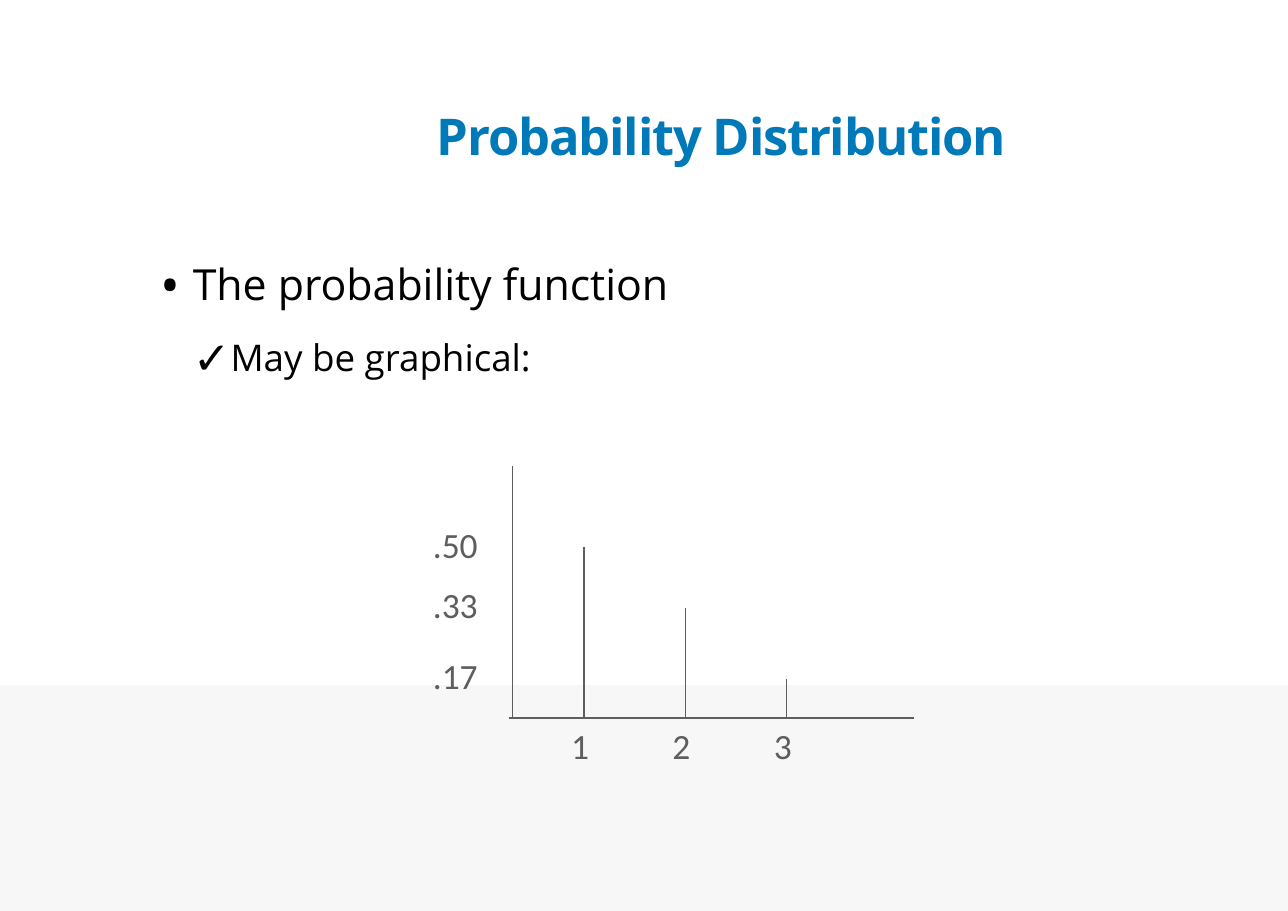
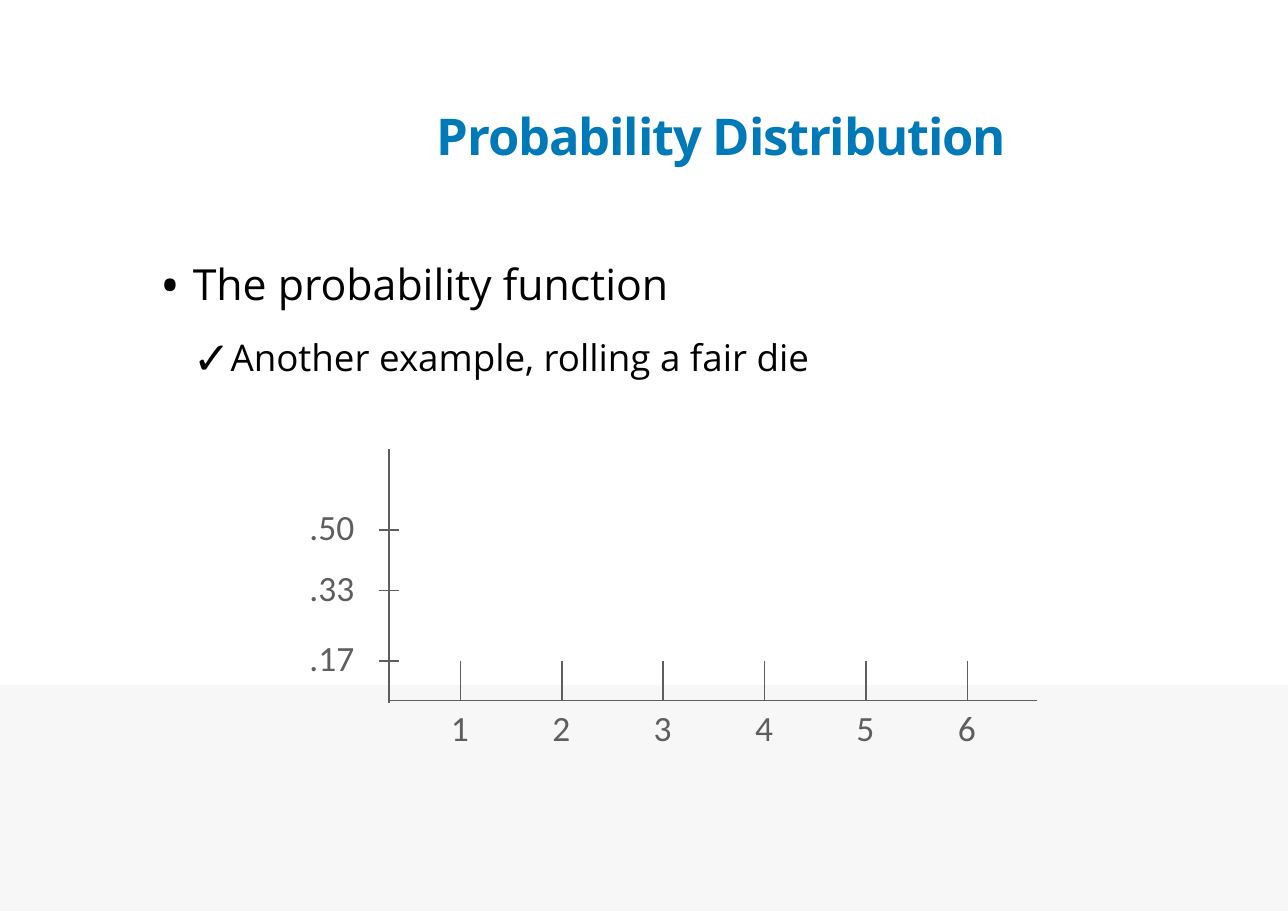
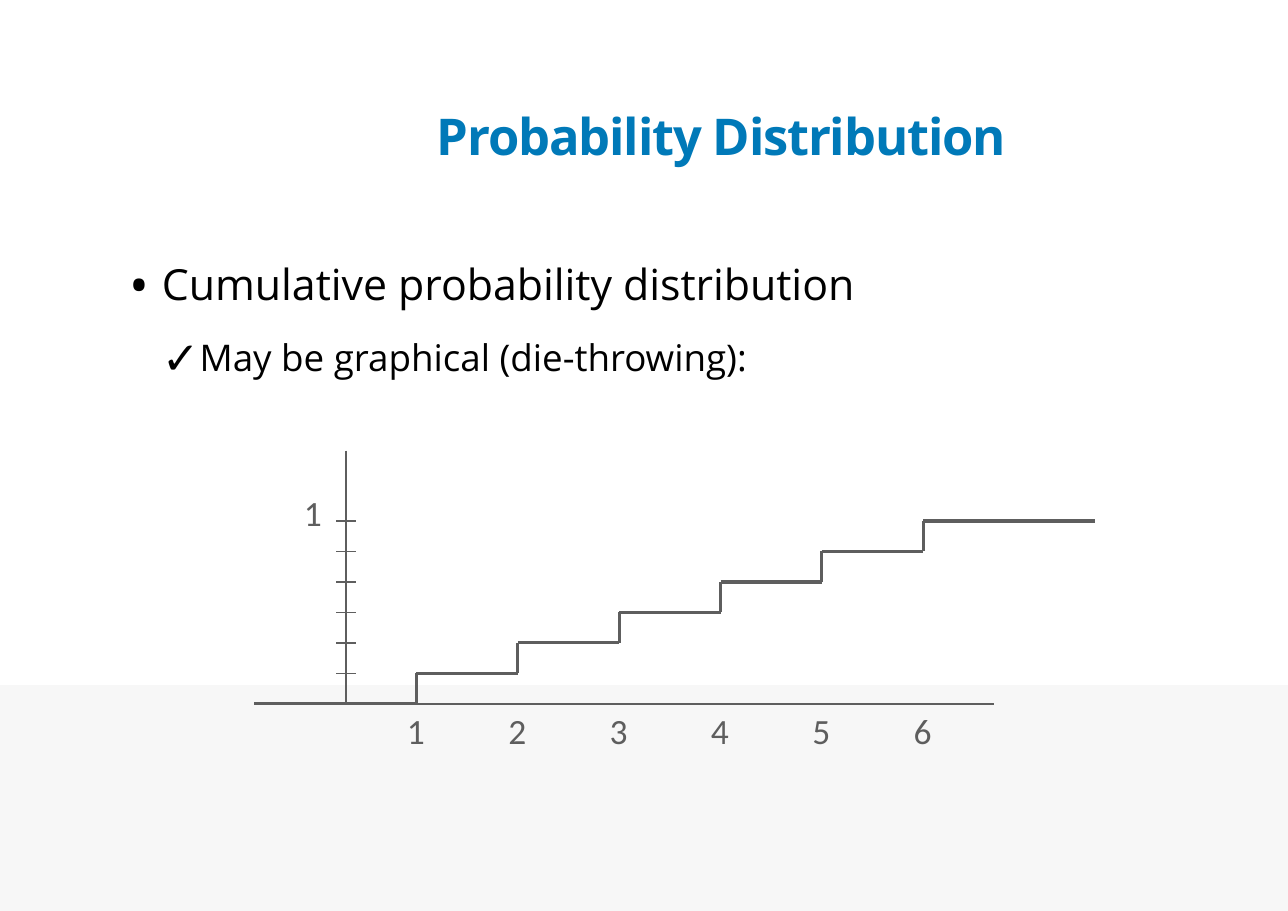
from dataclasses import dataclass

from lxml import etree
from pptx import Presentation
from pptx.dml.color import RGBColor as RGB
from pptx.enum.shapes import MSO_CONNECTOR, MSO_SHAPE
from pptx.enum.text import MSO_ANCHOR, MSO_AUTO_SIZE, PP_ALIGN
from pptx.oxml.ns import qn
from pptx.util import Inches, Pt


@dataclass(frozen=True)
class Theme:
    width: float = 11.69
    height: float = 8.27
    blue: RGB = RGB(0x00, 0x79, 0xB8)
    black: RGB = RGB(0, 0, 0)
    grey: RGB = RGB(0x5E, 0x5E, 0x5E)
    band: RGB = RGB(0xF7, 0xF7, 0xF7)
    text_font: str = "Open Sans"
    graph_font: str = "Calibri"
    title_size: float = 33.1
    bullet_sizes: tuple = (28, 24)
    label_size: float = 23.2
    thin: float = 1
    thick: float = 2


THEME = Theme()
TITLE = "Probability Distribution"
BULLETS = "•✓"
PITCH = 0.92
TICK = 0.09
LABEL_HEIGHT = 0.49
DIGIT_WIDTH = 0.37
DECIMAL_WIDTH = 0.61
LEVELS = {".50": 1.55, ".33": 1.0, ".17": 0.36}


def style_run(r, font, size, color, bold=False):
    r.font.name = font
    r.font.size = Pt(size)
    r.font.color.rgb = color
    r.font.bold = bold


def set_frame(tf, margin):
    tf.margin_left = tf.margin_right = Inches(margin)
    tf.margin_top = tf.margin_bottom = Inches(margin)
    tf.word_wrap = True
    tf.auto_size = MSO_AUTO_SIZE.NONE
    tf.vertical_anchor = MSO_ANCHOR.TOP


def add_band(prs):
    layout = prs.slide_layouts.get_by_name("Title Only")
    s = prs.slides[0]
    sp = s.shapes.add_shape(MSO_SHAPE.RECTANGLE, 0, Inches(6.22),
                            prs.slide_width, Inches(2.05))
    sp.shadow.inherit = False
    sp.fill.solid()
    sp.fill.fore_color.rgb = THEME.band
    sp.line.fill.background()
    sp.element.nvSpPr.cNvPr.set("id", "99")
    layout.shapes.element.insert(2, sp.element)


def add_title(s):
    sp = s.shapes.title
    sp.left, sp.top = Inches(1.4), Inches(1)
    sp.width, sp.height = Inches(10.29), Inches(0.86)
    set_frame(sp.text_frame, 0.06)
    p = sp.text_frame.paragraphs[0]
    p.text = TITLE
    p.alignment = PP_ALIGN.CENTER
    p.line_spacing = 0.8
    r = p.runs[0]
    style_run(r, THEME.text_font, THEME.title_size, THEME.blue, True)
    r.font._element.set("spc", "-80")


def add_bullets(s, left, height, lines):
    sp = s.shapes.add_textbox(Inches(left), Inches(2.33),
                              Inches(THEME.width - left), Inches(height))
    tf = sp.text_frame
    set_frame(tf, 0.06)
    for level, line in enumerate(lines):
        p = tf.add_paragraph() if level else tf.paragraphs[0]
        p.text = line
        p.level = level
        pPr = p._p.get_or_add_pPr()
        pPr.set("marL", str(Inches(0.29 * (level + 1))))
        pPr.set("indent", str(Inches(-0.29)))
        etree.SubElement(pPr, qn("a:buSzPct"), val="123000")
        etree.SubElement(pPr, qn("a:buFont"), typeface=THEME.text_font)
        etree.SubElement(pPr, qn("a:buChar"), char=BULLETS[level])
        p.line_spacing = 0.9
        p.space_before = Pt(19.7 if level else 0)
        style_run(p.runs[0], THEME.text_font,
                  THEME.bullet_sizes[level], THEME.black)


def add_line(s, x1, y1, x2, y2, weight=THEME.thin):
    c = s.shapes.add_connector(MSO_CONNECTOR.STRAIGHT, Inches(x1), Inches(y1),
                               Inches(x2), Inches(y2))
    c.line.color.rgb = THEME.grey
    c.line.width = Pt(weight)
    etree.SubElement(c.element.spPr, qn("a:effectLst"))


def add_label(s, text, left, top, width=DIGIT_WIDTH):
    sp = s.shapes.add_textbox(Inches(left), Inches(top),
                              Inches(width), Inches(LABEL_HEIGHT))
    tf = sp.text_frame
    tf.text = text
    tf.word_wrap = False
    tf.auto_size = MSO_AUTO_SIZE.SHAPE_TO_FIT_TEXT
    style_run(tf.paragraphs[0].runs[0], THEME.graph_font,
              THEME.label_size, THEME.grey)


def add_x_labels(s, first, base, count):
    for i in range(count):
        add_label(s, str(i + 1), first + i * PITCH - DIGIT_WIDTH / 2, base)


def add_level_labels(s, axis, base):
    for text, rise in LEVELS.items():
        add_label(s, text, axis - 0.21 - DECIMAL_WIDTH,
                  base - rise - 0.03 - LABEL_HEIGHT / 2, DECIMAL_WIDTH)


def add_stems(s, first, base, rises):
    for i, rise in enumerate(rises):
        x = first + i * PITCH
        add_line(s, x, base, x, base - rise)


def add_tick(s, axis, y):
    add_line(s, axis - TICK, y, axis + TICK, y)


def draw_bar_graph(s):
    axis, base, first = 4.65, 6.52, 5.3
    add_line(s, 4.62, base, 8.3, base)
    add_line(s, axis, 4.23, axis, base)
    add_x_labels(s, first - 0.03, base, 3)
    add_stems(s, first, base, LEVELS.values())
    add_level_labels(s, axis, base)


def draw_die_graph(s):
    axis, base, first = 3.53, 6.36, 4.18
    add_line(s, axis, base, 9.41, base)
    add_line(s, axis, 4.08, axis, 6.38)
    add_x_labels(s, first, base, 6)
    add_stems(s, first, base, [LEVELS[".17"]] * 6)
    for rise in LEVELS.values():
        add_tick(s, axis, base - rise)
    add_level_labels(s, axis, base)


def draw_cumulative_graph(s):
    axis, base, first, count = 3.14, 6.39, 3.78, 6
    top, end = 4.73, 9.94
    rise = (base - top) / count
    add_line(s, axis, 4.09, axis, base)
    add_line(s, axis, base, 9.02, base)
    add_x_labels(s, first, base, count)
    add_label(s, "1", 2.66, 4.41)
    add_line(s, 2.31, base, first, base, THEME.thick)
    for i in range(count):
        x, y = first + i * PITCH, base - (i + 1) * rise
        x_next = x + PITCH if i < count - 1 else end
        add_tick(s, axis, y)
        add_line(s, x, y + rise, x, y, THEME.thick)
        add_line(s, x, y, x_next, y, THEME.thick)


def add_slide(prs, left, height, lines, draw_graph):
    s = prs.slides.add_slide(prs.slide_layouts.get_by_name("Title Only"))
    add_title(s)
    add_bullets(s, left, height, lines)
    draw_graph(s)


def main():
    prs = Presentation()
    prs.slide_width = Inches(THEME.width)
    prs.slide_height = Inches(THEME.height)
    add_slide(prs, 1.4, 4.98,
              ["The probability function", "May be graphical:"],
              draw_bar_graph)
    add_slide(prs, 1.4, 4.98,
              ["The probability function",
               "Another example, rolling a fair die"],
              draw_die_graph)
    add_slide(prs, 1.12, 5.65,
              ["Cumulative probability distribution",
               "May be graphical (die-throwing):"],
              draw_cumulative_graph)
    add_band(prs)
    prs.save("out.pptx")


if __name__ == "__main__":
    main()
